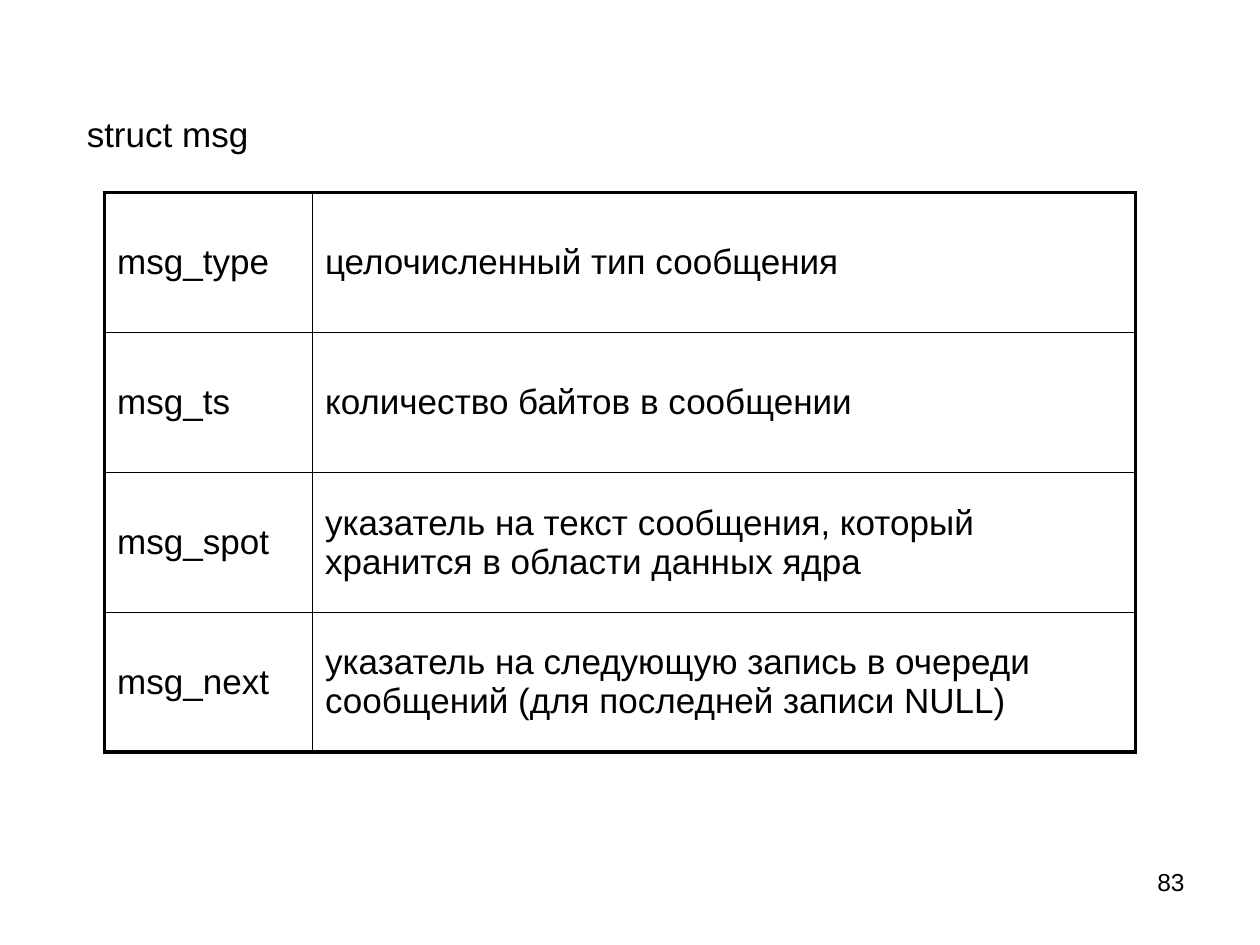
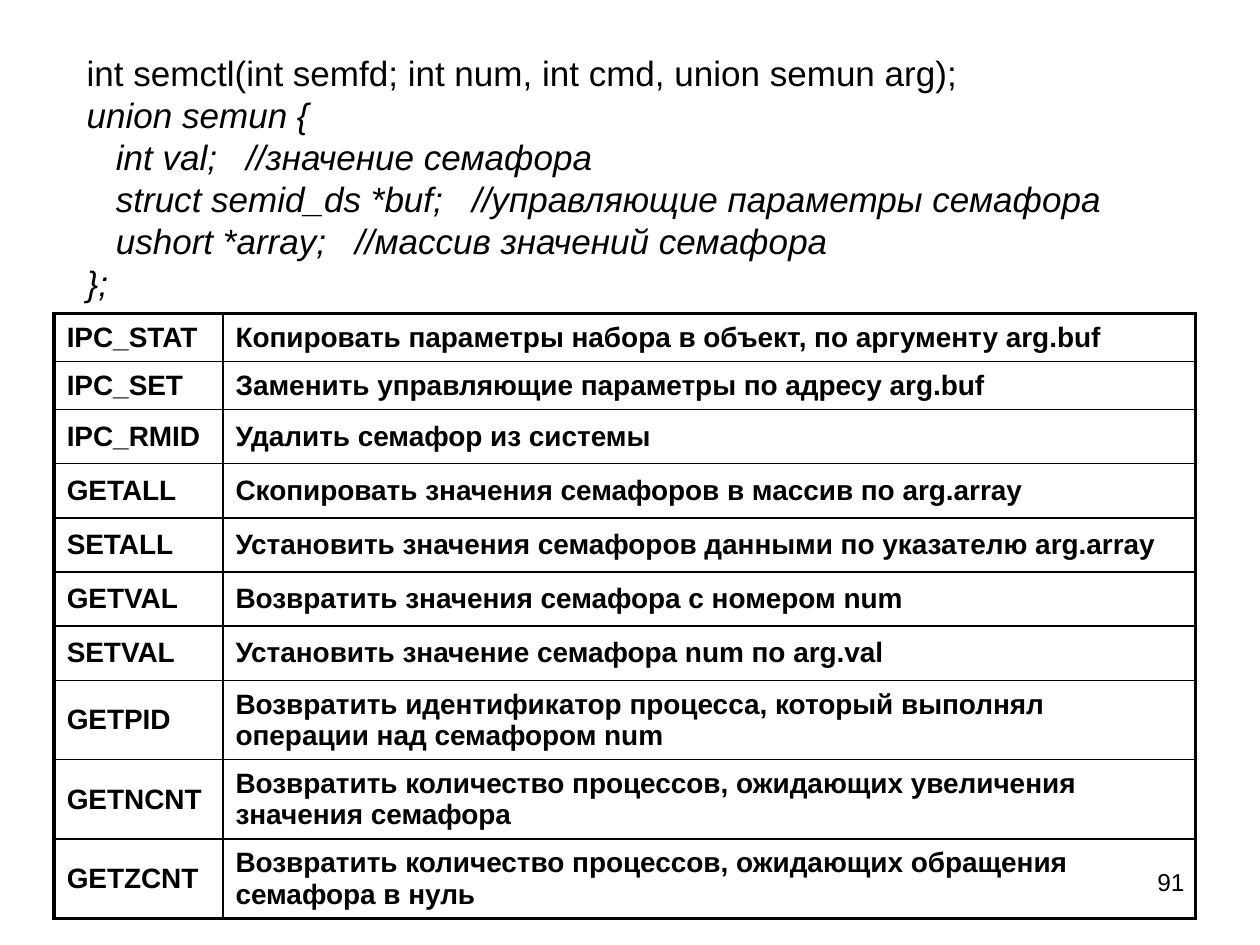
from lxml.etree import SubElement
from pptx import Presentation
from pptx.dml.color import RGBColor
from pptx.enum.text import MSO_ANCHOR, PP_ALIGN
from pptx.oxml.ns import qn
from pptx.util import Inches, Pt

INK = "000000"
FIELDS = [
    ("msg_type", "целочисленный тип сообщения"),
    ("msg_ts", "количество байтов в сообщении"),
    ("msg_spot", "указатель на текст сообщения, который хранится в области данных ядра"),
    ("msg_next", "указатель на следующую запись в очереди сообщений (для последней записи NULL)"),
]
SIGNATURE = ["int semctl(int semfd; int num, int cmd, union semun arg);"]
UNION = [
    "union semun {",
    "   int val;   //значение семафора",
    "   struct semid_ds *buf;   //управляющие параметры семафора",
    "   ushort *array;   //массив значений семафора",
    "};",
]
COMMANDS = [
    ("IPC_STAT", "Копировать параметры набора в объект, по аргументу arg.buf"),
    ("IPC_SET", "Заменить управляющие параметры по адресу arg.buf"),
    ("IPC_RMID", "Удалить семафор из системы"),
    ("GETALL", "Скопировать значения семафоров в массив по arg.array"),
    ("SETALL", "Установить значения семафоров данными по указателю arg.array"),
    ("GETVAL", "Возвратить значения семафора с номером num"),
    ("SETVAL", "Установить значение семафора num по arg.val"),
    ("GETPID", "Возвратить идентификатор процесса, который выполнял операции над семафором num"),
    ("GETNCNT", "Возвратить количество процессов, ожидающих увеличения значения семафора"),
    ("GETZCNT", "Возвратить количество процессов, ожидающих обращения семафора в нуль"),
]


def color(value):
    return RGBColor.from_string(value)


class Lecture:
    """Holds the lecture style and the slide being filled."""

    font_format = {"name": "Arial", "size": Pt(20), "bold": False, "italic": False}
    thin, thick = Pt(1), Pt(2.25)

    def __init__(self):
        self.deck = Presentation()
        self.deck.slide_width, self.deck.slide_height = Inches(10), Inches(7.5)
        self.page = None

    def add_page(self, number):
        self.page = self.deck.slides.add_slide(self.deck.slide_layouts[6])
        self.text([str(number)], 7.17, 6.83, 2.33, 0.52, PP_ALIGN.RIGHT, size=Pt(14))

    def fill_para(self, para, words, leading, **changes):
        para.line_spacing = leading
        span = para.add_run()
        span.text = words
        for name, value in {**self.font_format, **changes}.items():
            setattr(span.font, name, value)
        span.font.color.rgb = color(INK)

    def text(self, lines, left, top, width, height, align=PP_ALIGN.LEFT, italic_from=None, **changes):
        box = self.page.shapes.add_textbox(Inches(left), Inches(top), Inches(width), Inches(height))
        frame = box.text_frame
        frame.word_wrap = True
        leading = Pt(1.2 * changes.get("size", Pt(20)).pt)
        for index, line in enumerate(lines):
            para = frame.add_paragraph() if index else frame.paragraphs[0]
            para.alignment = align
            italic = italic_from is not None and index >= italic_from
            self.fill_para(para, line, leading, italic=italic, **changes)

    def border(self, cell, side, width):
        line = SubElement(cell._tc.get_or_add_tcPr(), qn(f"a:ln{side}"), w=str(width))
        fill = SubElement(line, qn("a:solidFill"))
        SubElement(fill, qn("a:srgbClr"), val=INK)

    def table(self, entries, left, top, widths, heights, leading, **changes):
        shape = self.page.shapes.add_table(
            len(entries), len(widths), Inches(left), Inches(top), Inches(sum(widths)), Inches(sum(heights)))
        table = shape.table
        table.first_row = table.horz_banding = False
        for column, width in zip(table.columns, widths):
            column.width = Inches(width)
        for row, height in zip(table.rows, heights):
            row.height = Inches(height)
        for row, entry in enumerate(entries):
            for column, words in enumerate(entry):
                cell = table.cell(row, column)
                cell.vertical_anchor = MSO_ANCHOR.MIDDLE
                outer = {"L": column == 0, "R": column == len(entry) - 1,
                         "T": row == 0, "B": row == len(entries) - 1}
                for side, is_outer in outer.items():
                    self.border(cell, side, self.thick if is_outer else self.thin)
                cell.fill.background()
                self.fill_para(cell.text_frame.paragraphs[0], words, leading, **changes)


def main():
    lecture = Lecture()

    lecture.add_page(83)
    lecture.text(["struct msg"], 0.59, 0.84, 2.52, 0.43)
    lecture.table(FIELDS, 0.83, 1.53, [1.65, 6.53], [1.11] * 4, Pt(22.3))

    lecture.add_page(91)
    lecture.text(SIGNATURE + UNION, 0.59, 0.36, 8.66, 2.1, italic_from=len(SIGNATURE))
    heights = [0.38] * 2 + [0.43] * 5 + [0.63] * 3
    lecture.table(COMMANDS, 0.43, 2.49, [1.34, 7.72], heights, Pt(17.8), size=Pt(16), bold=True)

    lecture.deck.save("out.pptx")


if __name__ == "__main__":
    main()
